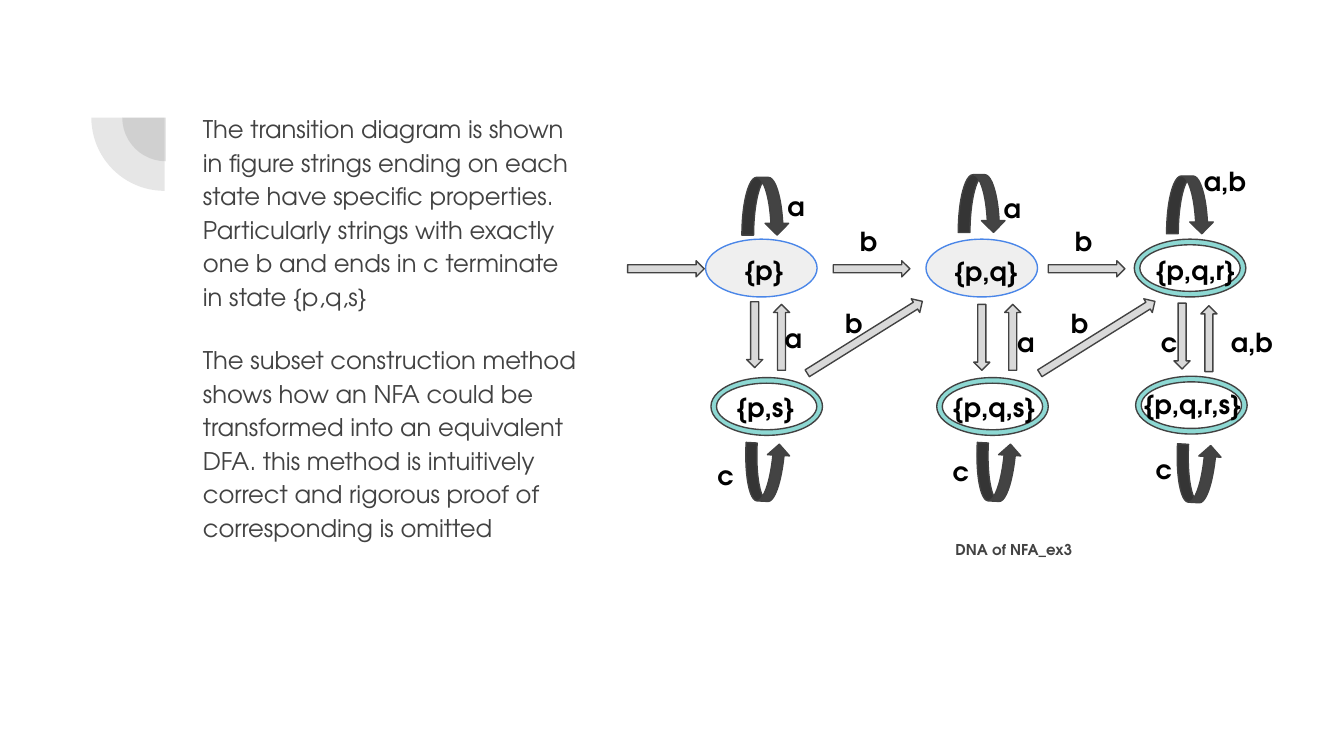
from dataclasses import dataclass

import pptx
import pptx.dml.color
import pptx.enum.shapes
import pptx.enum.text
import pptx.oxml
import pptx.oxml.ns
import pptx.util

RGBColor = pptx.dml.color.RGBColor
Kind = pptx.enum.shapes.MSO_SHAPE

SCALE = 9144
FONT = "TeX Gyre Adventor"
BLACK = RGBColor(0x00, 0x00, 0x00)
DARK = RGBColor(0x42, 0x42, 0x42)
COAL = RGBColor(0x43, 0x43, 0x43)
SILVER = RGBColor(0xD9, 0xD9, 0xD9)
PALE = RGBColor(0xEF, 0xEF, 0xEF)
BLUE = RGBColor(0x4A, 0x86, 0xE8)
TEAL = RGBColor(0x8D, 0xD8, 0xD3)


@dataclass
class State:
    x: int
    y: int
    final: bool = True


@dataclass
class Arrow:
    x: int
    y: int
    length: int
    turn: int = 0


@dataclass
class Loop:
    x: int
    y: int
    below: bool = False


@dataclass
class Label:
    text: str
    x: int
    y: int
    width: int = 60


STATES = [
    State(525, 178, False), State(689, 178, False), State(844, 178),
    State(529, 281), State(697, 281), State(845, 280),
]
ARROWS = [
    Arrow(467, 194, 57), Arrow(620, 194, 57), Arrow(780, 194, 57),
    Arrow(537, 243, 49, 90), Arrow(557, 245, 49, 270), Arrow(593, 245, 101, 328),
    Arrow(706, 245, 49, 90), Arrow(729, 245, 49, 270), Arrow(766, 245, 101, 328),
    Arrow(855, 244, 49, 90), Arrow(875, 246, 49, 270),
]
LOOPS = [
    Loop(552, 132), Loop(713, 130), Loop(868, 131),
    Loop(554, 330, True), Loop(726, 330, True), Loop(875, 331, True),
]
LABELS = [
    Label("{p}", 544, 179, 57), Label("{p,q}", 700, 180, 72),
    Label("{p,q,r}", 850, 179, 99), Label("{p,q,r,s}", 841, 279, 99),
    Label("{p,q,s}", 699, 281, 99), Label("{p,s}", 538, 281, 99),
    Label("a", 576, 132), Label("a", 737, 133),
    Label("a", 574, 230), Label("a", 747, 233),
    Label("b", 630, 158), Label("b", 790, 158),
    Label("b", 787, 219), Label("b", 619, 219),
    Label("c", 524, 332), Label("c", 699, 329),
    Label("c", 850, 327), Label("c", 854, 233),
    Label("a,b", 906, 233), Label("a,b", 886, 113),
]
NOTES = [
    "The transition diagram is shown in figure strings ending on each state have "
    "specific properties. Particularly strings with exactly one b and ends in c "
    "terminate in state {p,q,s}",
    "The subset construction method shows how an NFA could be transformed into an "
    "equivalent DFA. this method is intuitively correct and rigorous proof of "
    "corresponding is omitted",
]


def px(count: int) -> int:
    return pptx.util.Emu(count * SCALE)


def add_form(slide, kind, x: int, y: int, width: int, height: int,
             fill: RGBColor, line: RGBColor | None = DARK, turn: float = 0):
    form = slide.shapes.add_shape(kind, px(x), px(y), px(width), px(height))
    form.shadow.inherit = False
    form.fill.solid()
    form.fill.fore_color.rgb = fill
    if line is None:
        form.line.fill.background()
    else:
        form.line.color.rgb = line
        form.line.width = pptx.util.Pt(0.75)
    form.rotation = turn
    return form


def add_wedge(slide, x: int, y: int, size: int) -> None:
    form = add_form(slide, Kind.PIE, x, y, size, size, DARK, None, 270)
    form.adjustments[0] = 108
    form.adjustments[1] = 162
    tint = form.element.spPr.find(".//" + pptx.oxml.ns.qn("a:srgbClr"))
    alpha = pptx.oxml.parse_xml(
        f'<a:alpha {pptx.oxml.ns.nsdecls("a")} val="13000"/>')
    tint.append(alpha)


def add_state(slide, state: State) -> None:
    if state.final:
        ring = add_form(slide, Kind.DONUT, state.x, state.y, 83, 43, TEAL)
        ring.adjustments[0] = 0.097
    else:
        add_form(slide, Kind.OVAL, state.x, state.y, 83, 43, PALE, BLUE)


def add_arrow(slide, arrow: Arrow) -> None:
    add_form(slide, Kind.RIGHT_ARROW, arrow.x, arrow.y, arrow.length, 12,
             SILVER, turn=arrow.turn)


def add_loop(slide, loop: Loop) -> None:
    width, turn = (33, 183.1) if loop.below else (35, 0)
    form = add_form(slide, Kind.CURVED_DOWN_ARROW, loop.x, loop.y, width, 43,
                    COAL, turn=turn)
    if loop.below:
        form.element.spPr.xfrm.set("flipH", "1")


def set_frame(frame) -> None:
    frame.word_wrap = True
    frame.auto_size = pptx.enum.text.MSO_AUTO_SIZE.NONE
    frame.vertical_anchor = pptx.enum.text.MSO_ANCHOR.TOP
    frame.margin_left = frame.margin_right = px(10)
    frame.margin_top = frame.margin_bottom = px(10)


def set_font(para, size: int, hue: RGBColor, bold: bool) -> None:
    para.font.name = FONT
    para.font.size = pptx.util.Pt(size)
    para.font.color.rgb = hue
    para.font.bold = bold


def add_label(slide, label: Label, height: int = 35, size: int = 14,
              hue: RGBColor = BLACK) -> None:
    box = slide.shapes.add_textbox(
        px(label.x), px(label.y), px(label.width), px(height))
    set_frame(box.text_frame)
    para = box.text_frame.paragraphs[0]
    para.text = label.text
    set_font(para, size, hue, True)


def fill_body(body) -> None:
    body.left, body.top = px(141), px(72)
    body.width, body.height = px(301), px(375)
    frame = body.text_frame
    set_frame(frame)
    frame.text = "\n".join(NOTES)
    for rank, para in enumerate(frame.paragraphs):
        props = para._p.get_or_add_pPr()
        props.set("marL", "0")
        props.set("indent", "0")
        props.append(pptx.oxml.parse_xml(
            f'<a:buNone {pptx.oxml.ns.nsdecls("a")}/>'))
        para.line_spacing = 1.15
        para.space_before = pptx.util.Pt(16 * rank)
        para.space_after = pptx.util.Pt(16 * rank)
        set_font(para, 13, DARK, False)


def main() -> None:
    deck = pptx.Presentation()
    deck.slide_width = px(1000)
    deck.slide_height = deck.slide_width * 9 // 16
    slide = deck.slides.add_slide(deck.slide_layouts[1])
    title = slide.shapes.title.element
    title.getparent().remove(title)
    fill_body(slide.placeholders[1])
    add_wedge(slide, 91, 55, 65)
    add_wedge(slide, 68, 33, 109)
    for state in STATES:
        add_state(slide, state)
    for arrow in ARROWS:
        add_arrow(slide, arrow)
    for loop in LOOPS:
        add_loop(slide, loop)
    for label in LABELS:
        add_label(slide, label)
    add_label(slide, Label("DNA of NFA_ex3", 701, 392, 115), 43, 8, COAL)
    deck.save("out.pptx")


if __name__ == "__main__":
    main()
